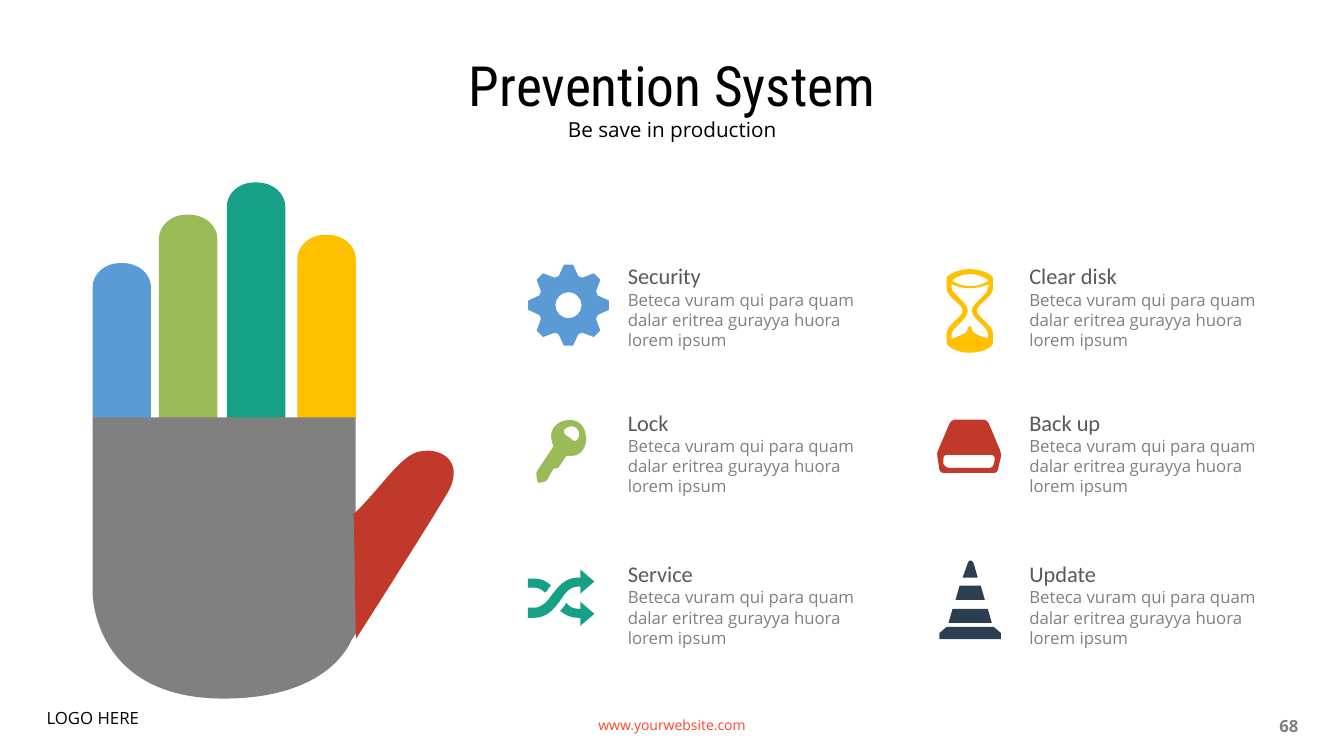
import math
from dataclasses import dataclass

import lxml.etree
import pptx
import pptx.dml.color
import pptx.enum.text
import pptx.oxml.ns
import pptx.shapes.autoshape
import pptx.shapes.shapetree
import pptx.util

Pt = pptx.util.Pt
qn = pptx.oxml.ns.qn
ALIGN = pptx.enum.text.PP_ALIGN
ANCHOR = pptx.enum.text.MSO_ANCHOR

Point = tuple[float, float]
Segment = list[Point]  # one point for a line, three for a cubic curve
Outline = list[list[Segment]]


@dataclass(frozen=True)
class Theme:
    black: str = "000000"
    heading: str = "595959"
    grey: str = "808080"
    link: str = "FF4429"
    blue: str = "5B9BD5"
    green: str = "9BBB59"
    teal: str = "16A085"
    yellow: str = "FFC000"
    red: str = "C0392B"
    navy: str = "2C3F50"
    title_font: str = "Roboto Condensed"
    body_font: str = "Open Sans"
    heading_font: str = "Calibri"
    title_size: float = 39.6
    subtitle_size: float = 14.8
    heading_size: float = 16
    body_size: float = 12
    link_size: float = 10


T = Theme()


@dataclass(frozen=True)
class Para:
    text: str
    size: float
    color: str
    font: str = T.body_font
    spacing: float = 1.0
    align: ALIGN = ALIGN.LEFT
    bold: bool = False


@dataclass(frozen=True)
class Label:
    left: float
    top: float
    width: float
    height: float
    paras: tuple[Para, ...]
    anchor: ANCHOR = ANCHOR.TOP


@dataclass(frozen=True)
class Figure:
    left: float
    top: float
    color: str
    outline: Outline


@dataclass(frozen=True)
class Topic:
    name: str
    icon: Figure


UNIT = 0.72  # points per outline unit
FINGER_BOTTOM = 298.6
COLUMN_LEFTS = (441.36, 728.2)
ROW_TOPS = (174.4, 279, 387)
BODY = "Beteca vuram qui para quam dalar eritrea gurayya huora lorem ipsum"

HUB = "M 13 0 C 13 7 7 13 0 13 -7 13 -13 7 -13 0 -13 -7 -7 -13 0 -13 7 -13 13 -7 13 0"
PALM = "M 261 0 L 0 0 0 174 C 0 174 0 279 130 279 212 279 246 245 257 221 L 262 213 261 87"
THUMB = "M 66 5 C 47 9 29 40 0 68 L 1 66 3 191 C 23 160 80 70 94 46 111 17 90 0 66 5"
KEY = """M 41 20 C 39 23 36 21 33 18 29 16 26 14 28 10 31 7 36 6 39 8 43 11 44 16 41 20
M 49 15 C 48 5 39 -1 30 1 21 2 13 10 15 19 15 21 16 24 17 27 L 1 51 C 0 52 0 54 0 55
L 1 61 C 1 62 2 63 3 63 L 8 62 C 9 62 10 61 11 60 L 17 49 18 49 22 48 30 36
C 32 37 36 36 38 36 47 34 51 24 49 15"""
SHUFFLE = """M 52 39 L 50 39 C 45 39 41 37 38 33 38 34 37 34 37 35 36 37 34 39 32 41
37 45 42 48 50 48 L 52 48 52 56 66 44 52 32
M 17 23 C 18 22 19 22 19 21 20 19 22 17 23 16 19 12 14 9 6 9 L 0 9 0 18 6 18 C 11 18 14 20 17 23
M 50 17 L 52 17 52 24 66 12 52 0 52 8 50 8 C 37 8 30 17 24 25 19 32 14 38 6 38
L 0 38 0 48 6 48 C 19 48 26 39 32 31 37 23 42 17 50 17"""
HOURGLASS = """M 25 41 C 25 46 30 50 34 54 37 57 41 61 41 64 L 41 69 C 37 67 25 65 25 59
25 56 21 56 21 59 21 65 9 67 5 69 L 5 64 C 5 61 10 57 13 54 17 50 21 46 21 41
21 37 17 33 13 29 10 26 5 22 5 19 L 5 15 C 9 17 16 19 23 19 31 19 37 17 42 15
L 41 19 C 41 22 37 26 34 29 30 33 25 37 25 41
M 7 10 C 10 8 15 5 24 5 32 5 40 10 40 10 41 10 43 11 41 12 38 14 31 17 23 17
16 17 9 14 6 12 4 11 7 10 7 10
M 46 19 L 46 9 C 46 6 36 0 23 0 11 0 0 6 0 9 L 0 19 C 0 28 16 35 16 41 16 48 0 55 0 64
L 0 73 C 0 77 11 83 23 83 36 83 46 77 46 73 L 46 64 C 46 55 30 48 30 41 30 35 46 28 46 19"""
DISK = """M 57 39 L 56 44 C 56 46 54 48 52 48 L 11 48 C 9 48 7 46 6 44 L 6 39 C 5 37 7 35 9 35
L 54 35 C 56 35 57 37 57 39
M 62 30 L 51 4 C 50 2 48 0 46 0 L 17 0 C 15 0 13 2 12 4 L 1 30 C 0 32 -1 35 0 37
L 2 50 C 3 52 4 53 6 53 L 56 53 C 58 53 60 52 60 50 L 63 37 C 63 35 63 32 62 30"""
CONE = """M 61 82 L 0 82 0 76 7 70 54 70 61 76 M 9 66 L 13 52 48 52 52 66
M 16 43 L 20 29 41 29 45 43 M 28 7 C 28 7 30 0 34 7 L 38 21 23 21"""


def trace(commands: str) -> Outline:
    """Turn M, L and C commands into closed contours."""
    outline: Outline = []
    pending: list[float] = []
    size = 2
    for token in commands.split():
        if token in "MLC":
            size = 6 if token == "C" else 2
            if token == "M":
                outline.append([])
            continue
        pending.append(float(token))
        if len(pending) == size:
            outline[-1].append(list(zip(pending[::2], pending[1::2])))
            pending = []
    return outline


def polar(radius: float, degrees: float) -> Point:
    angle = math.radians(degrees)
    return radius * math.cos(angle), radius * math.sin(angle)


def gear() -> Outline:
    """Eight teeth around a round hub, centred on the origin."""
    tooth = ((30.5, -18.5), (40.4, -6.5), (40.4, 6.5), (30.5, 18.5))
    rim = [[polar(r, 45 * k + a)] for k in range(8) for r, a in tooth]
    return [rim, *trace(HUB)]


def finger(left: float, top: float, color: str) -> Figure:
    length = (FINGER_BOTTOM - top) / UNIT
    commands = f"M 58 {length} L 58 24 C 58 11 46 0 30 0 L 27 0 C 12 0 0 11 0 24 L 0 {length}"
    return Figure(left, top, color, trace(commands))


def bend(sp: pptx.shapes.autoshape.Shape, outline: Outline) -> None:
    """Join the three line steps of each curve segment into one cubic curve."""
    steps = iter(list(sp._element.iter(qn("a:lnTo"))))
    for contour in outline:
        for segment in contour[1:]:
            first, *rest = [next(steps) for _ in segment]
            if not rest:
                continue
            curve = lxml.etree.Element(qn("a:cubicBezTo"))
            first.addprevious(curve)
            for step in (first, *rest):
                curve.append(step[0])
                step.getparent().remove(step)


def draw_figure(shapes: pptx.shapes.shapetree.GroupShapes, figure: Figure) -> None:
    contours = [[(x * Pt(UNIT), y * Pt(UNIT)) for segment in contour for x, y in segment]
                for contour in figure.outline]
    builder = shapes.build_freeform(*contours[0][0])
    for i, contour in enumerate(contours):
        if i:
            builder.move_to(*contour[0])
        builder.add_line_segments(contour[1:], close=True)
    sp = builder.convert_to_shape(Pt(figure.left), Pt(figure.top))
    bend(sp, figure.outline)
    sp.shadow.inherit = False
    sp.fill.solid()
    sp.fill.fore_color.rgb = pptx.dml.color.RGBColor.from_string(figure.color)
    sp.line.fill.background()


def draw_label(shapes: pptx.shapes.shapetree.SlideShapes, label: Label) -> None:
    box = (label.left, label.top, label.width, label.height)
    tf = shapes.add_textbox(*(Pt(v) for v in box)).text_frame
    tf.word_wrap = True
    tf.vertical_anchor = label.anchor
    for i, para in enumerate(label.paras):
        p = tf.add_paragraph() if i else tf.paragraphs[0]
        p.alignment = para.align
        p.line_spacing = para.spacing
        r = p.add_run()
        r.text = para.text
        r.font.name = para.font
        r.font.size = Pt(para.size)
        r.font.bold = para.bold
        r.font.color.rgb = pptx.dml.color.RGBColor.from_string(para.color)


HAND = (
    finger(212.4, 167.76, T.yellow), finger(162, 130.32, T.teal),
    finger(66.1, 187.92, T.blue), finger(113.5, 153.36, T.green),
    Figure(66.1, 298.08, T.grey, trace(PALM)), Figure(252, 318.96, T.red, trace(THUMB)),
)
TOPICS = (
    Topic("Security", Figure(406.08, 218, T.blue, gear())),
    Topic("Lock", Figure(383.04, 299.52, T.green, trace(KEY))),
    Topic("Service", Figure(377.1, 406.8, T.teal, trace(SHUFFLE))),
    Topic("Clear disk", Figure(676.2, 192.24, T.yellow, trace(HOURGLASS))),
    Topic("Back up", Figure(669.6, 299.7, T.red, trace(DISK))),
    Topic("Update", Figure(671.04, 397.44, T.navy, trace(CONE))),
)
LABELS = (
    Label(66.24, 44.64, 828, 37.44, (Para("Prevention System", T.title_size, T.black,
          T.title_font, 0.9, ALIGN.CENTER),), ANCHOR.MIDDLE),
    Label(66.1, 83.2, 828, 23.04, (Para("Be save in production", T.subtitle_size, T.black,
          spacing=0.8, align=ALIGN.CENTER),)),
    Label(318, 503.6, 324, 28.8, (Para("www.yourwebsite.com", T.link_size, T.link,
          align=ALIGN.CENTER),), ANCHOR.MIDDLE),
    Label(707.76, 504, 226.8, 28.8, (Para("68", T.body_size, T.grey, align=ALIGN.RIGHT,
          bold=True),), ANCHOR.MIDDLE),
    Label(26.2, 503.6, 300.24, 30.96, (Para("LOGO HERE", T.body_size, T.black, spacing=0.9),)),
)


def main() -> None:
    prs = pptx.Presentation()
    prs.slide_width, prs.slide_height = Pt(960), Pt(540)
    s = prs.slides.add_slide(prs.slide_layouts[6])
    hand = s.shapes.add_group_shape()
    for part in HAND:
        draw_figure(hand.shapes, part)
    for i, topic in enumerate(TOPICS):
        column, row = divmod(i, len(ROW_TOPS))
        heading = Para(topic.name, T.heading_size, T.heading, T.heading_font, 1.5)
        body = Para(BODY, T.body_size, T.grey)
        draw_figure(s.shapes, topic.icon)
        draw_label(s.shapes, Label(COLUMN_LEFTS[column], ROW_TOPS[row], 182.88, 79.92,
                                   (heading, body)))
    for label in LABELS:
        draw_label(s.shapes, label)
    prs.save("out.pptx")


if __name__ == "__main__":
    main()
